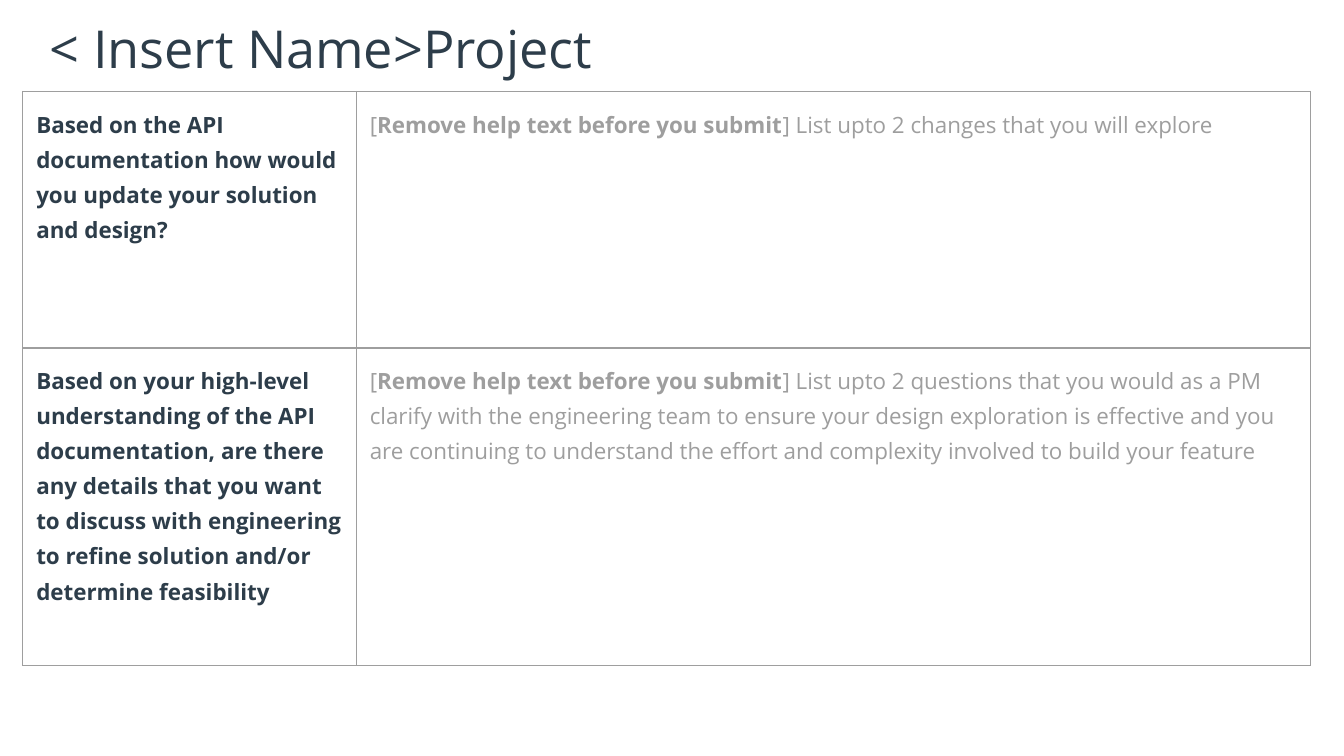
import pptx
import pptx.dml.color
import pptx.enum.text
import pptx.oxml
import pptx.oxml.ns
import pptx.util
from lxml import etree

Inches, Pt = pptx.util.Inches, pptx.util.Pt
RGBColor = pptx.dml.color.RGBColor

NAVY = RGBColor(0x2D, 0x3D, 0x4A)
GRAY = RGBColor(0x9E, 0x9E, 0x9E)

SLIDE_WIDTH = 10
SLIDE_HEIGHT = SLIDE_WIDTH * 9 / 16
TITLE_BOX = (0.33, 0.08, 9, 0.65)
QUESTIONS_BOX = (0.17, 0.68, 9.58, 4.27)
COLUMN_SHARES = (0.259, 0.741)
ROW_SHARES = (0.447, 0.553)

HELP_NOTE = "Remove help text before you submit"
QUESTIONS = [
    ("Based on the API documentation how would you update your solution and design?",
     "List upto 2 changes that you will explore"),
    ("Based on your high-level understanding of the API documentation, are there any "
     "details that you want to discuss with engineering to refine solution and/or "
     "determine feasibility",
     "List upto 2 questions that you would as a PM clarify with the engineering team to "
     "ensure your design exploration is effective and you are continuing to understand "
     "the effort and complexity involved to build your feature"),
]


def write_text(frame, pieces, size=12, color=NAVY, line_spacing=1.15, before=0):
    """Write one paragraph from (text, bold) pieces."""
    frame.word_wrap = True
    paragraph = frame.paragraphs[0]
    paragraph.line_spacing = line_spacing
    paragraph.space_before = Pt(before)
    for words, bold in pieces:
        run = paragraph.add_run()
        run.text = words
        run.font.name = "Open Sans"
        run.font.size = Pt(size)
        run.font.bold = bold
        run.font.color.rgb = color


def add_title(slide, box):
    title = slide.shapes.add_textbox(*map(Inches, box)).text_frame
    title.margin_left = title.margin_right = Inches(0.04)
    title.margin_top = title.margin_bottom = Inches(0.04)
    title.vertical_anchor = pptx.enum.text.MSO_ANCHOR.TOP
    write_text(title, [("< Insert Name>Project", False)], size=28, line_spacing=1.0)


def format_cell(cell):
    """Give the cell even margins, no fill and thin gray borders."""
    cell.margin_left = cell.margin_right = Inches(0.1)
    cell.margin_top = cell.margin_bottom = Inches(0.1)
    cell.vertical_anchor = pptx.enum.text.MSO_ANCHOR.TOP
    qn = pptx.oxml.ns.qn
    properties = cell._tc.get_or_add_tcPr()
    for side in ("lnL", "lnR", "lnT", "lnB"):
        border = etree.SubElement(properties, qn(f"a:{side}"), w=str(Pt(0.75)))
        fill = etree.SubElement(border, qn("a:solidFill"))
        etree.SubElement(fill, qn("a:srgbClr"), val=str(GRAY))
    cell.fill.background()


def add_questions(slide, box):
    _, _, width, height = box
    table = slide.shapes.add_table(
        len(QUESTIONS), len(COLUMN_SHARES), *map(Inches, box)).table
    table.first_row = table.horz_banding = False
    for column, share in zip(table.columns, COLUMN_SHARES):
        column.width = Inches(width * share)
    for row, share in zip(table.rows, ROW_SHARES):
        row.height = Inches(height * share)

    for row, (question, hint) in zip(table.rows, QUESTIONS):
        question_cell, answer_cell = row.cells
        format_cell(question_cell)
        format_cell(answer_cell)
        write_text(question_cell.text_frame, [(question, True)], before=7)
        write_text(answer_cell.text_frame,
                   [("[", False), (HELP_NOTE, True), (f"] {hint}", False)],
                   color=GRAY, before=7)


def main():
    presentation = pptx.Presentation()
    presentation.slide_width = Inches(SLIDE_WIDTH)
    presentation.slide_height = Inches(SLIDE_HEIGHT)
    slide = presentation.slides.add_slide(presentation.slide_layouts[6])
    add_title(slide, TITLE_BOX)
    add_questions(slide, QUESTIONS_BOX)
    presentation.save("out.pptx")


if __name__ == "__main__":
    main()
